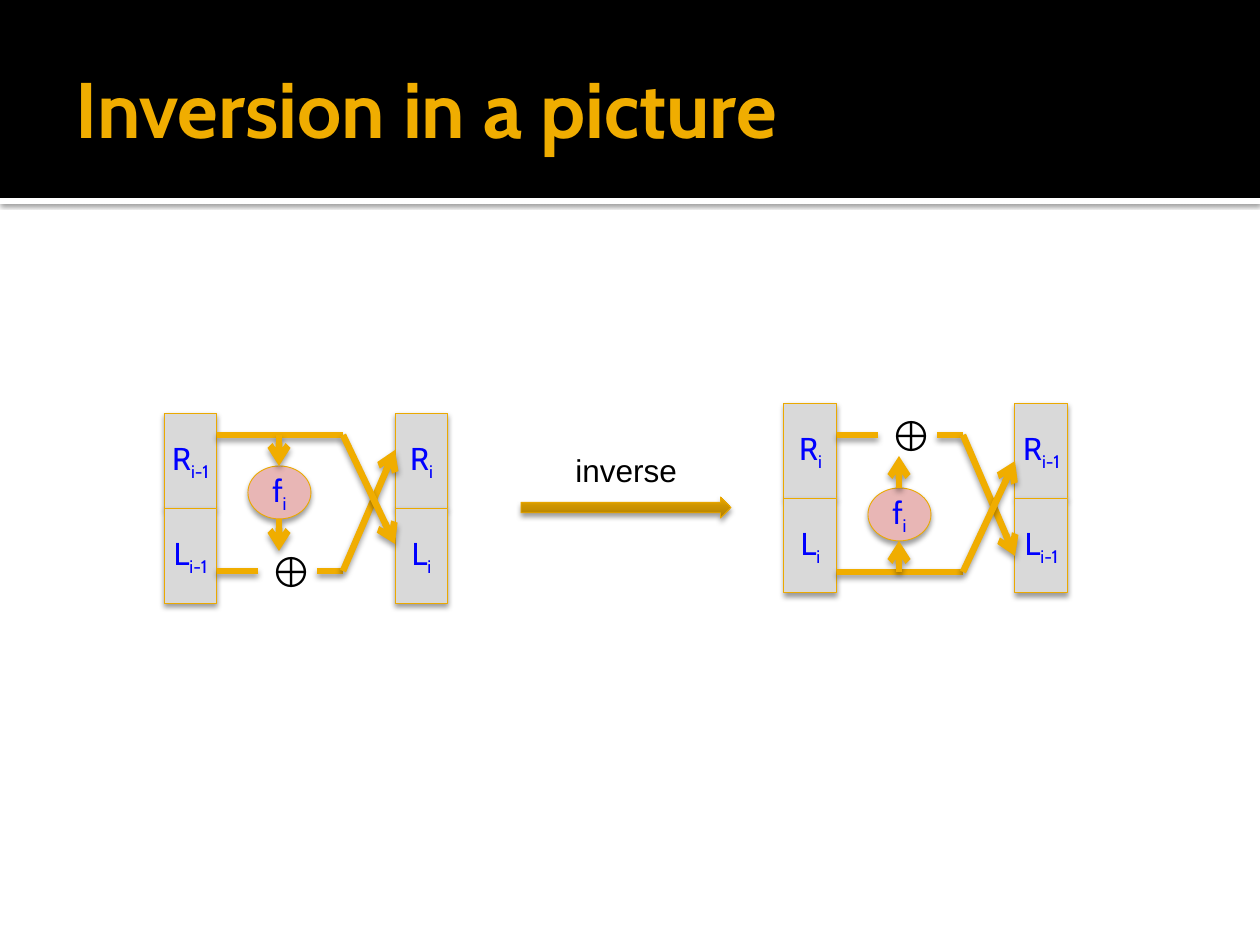
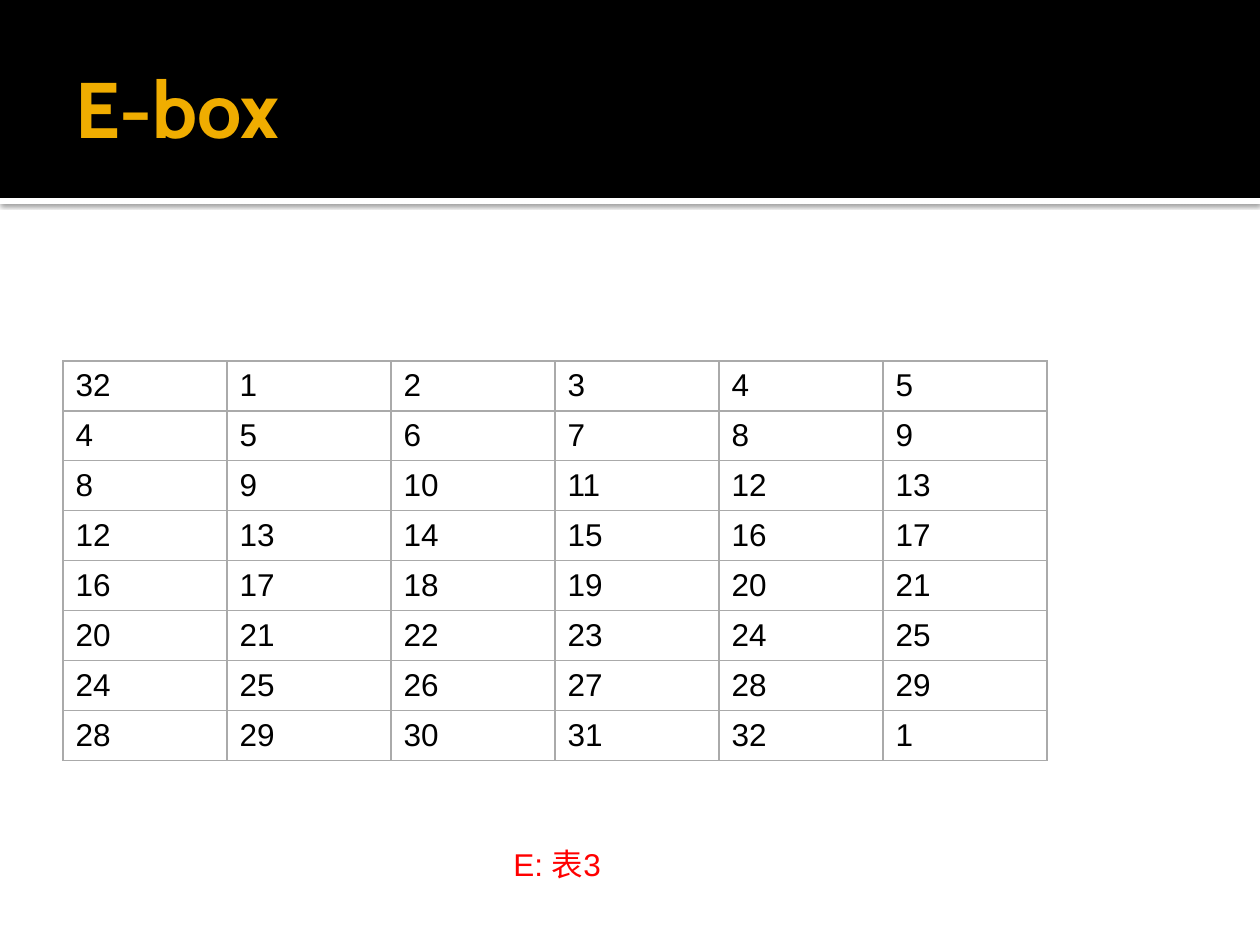
from copy import deepcopy

from lxml.etree import SubElement
from pptx import Presentation
from pptx.dml.color import RGBColor
from pptx.enum.shapes import MSO_CONNECTOR, MSO_SHAPE
from pptx.enum.text import MSO_ANCHOR, MSO_AUTO_SIZE, PP_ALIGN
from pptx.oxml.ns import qn
from pptx.util import Emu, Pt

SCALE = 914400 / 126
WIDE, HIGH = 1260, 945

BLACK = RGBColor(0x00, 0x00, 0x00)
WHITE = RGBColor(0xFF, 0xFF, 0xFF)
GOLD = RGBColor(0xF0, 0xAD, 0x00)
EDGE = RGBColor(0xEB, 0xA9, 0x00)
GRAY = RGBColor(0xD9, 0xD9, 0xD9)
PINK = RGBColor(0xE8, 0xB6, 0xB5)
BLUE = RGBColor(0x00, 0x00, 0xFF)
RED = RGBColor(0xFF, 0x00, 0x00)
RULE = RGBColor(0xAA, 0xAA, 0xAA)
SHADES = (
    (0, RGBColor(0xAE, 0x7D, 0x00)),
    (0.55, RGBColor(0xCC, 0x93, 0x00)),
    (1, RGBColor(0xEE, 0xAB, 0x00)),
)
HEAD, BODY = "Cabin", "Arial"


def px(*sizes):
    """Turn pixel lengths into a list of EMU."""
    return [Emu(round(size * SCALE)) for size in sizes]


def set_font(para, name, size, color, bold=False):
    """Format a whole paragraph."""
    font = para.font
    font.name, font.size, font.bold = name, Pt(size), bold
    font.color.rgb = color


def add_shade(item, alpha=38, blur=3.1, dist=2):
    """Give an item a soft shadow that falls straight down."""
    effects = SubElement(item._element.spPr, qn("a:effectLst"))
    outer = SubElement(
        effects, qn("a:outerShdw"), blurRad=str(Pt(blur)),
        dist=str(Pt(dist)), dir="5400000", algn="ctr", rotWithShape="0")
    color = SubElement(outer, qn("a:srgbClr"), val=str(BLACK))
    SubElement(color, qn("a:alpha"), val=str(alpha * 1000))


def add_form(slide, kind, spot, fill, edge=None):
    """Add a preset shape with a plain fill and an optional edge."""
    form = slide.shapes.add_shape(kind, *px(*spot))
    form.fill.solid()
    form.fill.fore_color.rgb = fill
    if edge is None:
        form.line.fill.background()
    else:
        form.line.color.rgb = edge
        form.line.width = Pt(0.5)
    return form


def add_node(slide, kind, spot, fill, base, index):
    """Add a shape that holds a letter and its subscript."""
    node = add_form(slide, kind, spot, fill, EDGE)
    add_shade(node)
    frame = node.text_frame
    frame.margin_left = frame.margin_right = 0
    frame.vertical_anchor = MSO_ANCHOR.MIDDLE
    para = frame.paragraphs[0]
    para.alignment = PP_ALIGN.CENTER
    set_font(para, HEAD, 18, BLUE)
    para.add_run().text = base
    sub = para.add_run()
    sub.text = index
    sub.font._element.set("baseline", "-25000")


def add_wire(slide, start, end, arrow=False):
    """Add a thick gold line, with an arrowhead if asked."""
    wire = slide.shapes.add_connector(
        MSO_CONNECTOR.STRAIGHT, *px(*start, *end))
    wire.line.color.rgb = GOLD
    wire.line.width = Pt(3.78)
    if arrow:
        line = wire._element.spPr.find(qn("a:ln"))
        SubElement(line, qn("a:tailEnd"), type="arrow")
    add_shade(wire, blur=3.5)


def add_label(slide, spot, text, size=18, color=BLACK, wrap=False):
    """Add a text box that grows with its text."""
    frame = slide.shapes.add_textbox(*px(*spot)).text_frame
    frame.word_wrap = wrap
    frame.auto_size = MSO_AUTO_SIZE.SHAPE_TO_FIT_TEXT
    para = frame.paragraphs[0]
    para.text = text
    set_font(para, BODY, size, color)


def add_bands(slide):
    """Build the title bands and move them to the shared layout."""
    black = add_form(slide, MSO_SHAPE.RECTANGLE, (0, 0, WIDE, 198), BLACK)
    black.shadow.inherit = False
    white = add_form(slide, MSO_SHAPE.RECTANGLE, (0, 198, WIDE, 6), WHITE)
    add_shade(white, 60, 2.5, 0.8)
    for index, band in enumerate((black, white)):
        band._element.nvSpPr.cNvPr.id = 20 + index
        slide.slide_layout.shapes._spTree.insert(2, band._element)


def add_page(deck, text):
    """Add a slide and format its title."""
    slide = deck.slides.add_slide(deck.slide_layouts[5])
    title = slide.shapes.title
    title.left, title.top, title.width, title.height = px(63, 21, 1134, 173)
    frame = title.text_frame
    frame.text = text
    frame.vertical_anchor = MSO_ANCHOR.MIDDLE
    frame.auto_size = MSO_AUTO_SIZE.NONE
    frame.margin_right = px(6)[0]
    para = frame.paragraphs[0]
    para.alignment = PP_ALIGN.LEFT
    set_font(para, HEAD, 45, GOLD, True)
    return slide


def add_round(slide, left, top, marks, full, cut, ends, oval, xor):
    """Draw one round; full and cut are the heights of its two wires."""
    for x, mark in zip((left, left + 231), marks):
        for y, base in ((top, "R"), (top + 95, "L")):
            add_node(slide, MSO_SHAPE.RECTANGLE, (x, y, 53, 95),
                     GRAY, base, mark)
    add_label(slide, (left + 94, xor, 59, 63), "⊕", 24)

    port, bend, goal = left + 53, left + 179, left + 231
    add_wire(slide, (port, full), (bend, full))
    add_wire(slide, (port, cut), (left + 94, cut))
    add_wire(slide, (left + 153, cut), (bend, cut))
    for y, end in zip((cut, full), ends):
        add_wire(slide, (bend, y), (goal, end), True)

    add_node(slide, MSO_SHAPE.OVAL, (left + 84, oval, 63, 53), PINK, "f", "i")
    mid = left + 115
    near, far, step = oval, oval + 53, 32
    if full > cut:
        near, far, step = far, near, -step
    add_wire(slide, (mid, full), (mid, near), True)
    add_wire(slide, (mid, far), (mid, far + step), True)


def add_arrow(slide, spot):
    """Add the shaded block arrow."""
    arrow = add_form(slide, MSO_SHAPE.RIGHT_ARROW, spot, GOLD, EDGE)
    arrow.fill.gradient()
    arrow.fill.gradient_angle = 90
    stops = arrow._element.spPr.find(".//" + qn("a:gsLst"))
    stops.insert(1, deepcopy(stops[0]))
    for stop, (place, color) in zip(arrow.fill.gradient_stops, SHADES):
        stop.position = place
        stop.color.rgb = color
    add_shade(arrow)


def add_rules(cell):
    """Draw thin gray borders on all sides of a cell."""
    props = cell._tc.get_or_add_tcPr()
    for side in ("lnL", "lnR", "lnT", "lnB"):
        line = SubElement(props, qn("a:" + side), w=str(Pt(0.75)))
        fill = SubElement(line, qn("a:solidFill"))
        SubElement(fill, qn("a:srgbClr"), val=str(RULE))


def add_grid(slide, left, top, rows, cols):
    """Add the table whose rows of bits overlap by two."""
    spot = px(left, top, cols * 164, rows * 50)
    table = slide.shapes.add_table(rows, cols, *spot).table
    table.first_row = table.horz_banding = False
    for row in range(rows):
        for col in range(cols):
            cell = table.cell(row, col)
            add_rules(cell)
            cell.fill.background()
            cell.vertical_anchor = MSO_ANCHOR.MIDDLE
            cell.text = str((4 * row + col - 1) % 32 + 1)
            set_font(cell.text_frame.paragraphs[0], BODY, 18, BLACK)


def main():
    """Build both slides and save them."""
    deck = Presentation()
    deck.slide_width, deck.slide_height = px(WIDE, HIGH)

    slide = add_page(deck, "Inversion in a picture")
    add_bands(slide)
    add_round(slide, 164, 413, ("i-1", "i"), full=435, cut=571,
              ends=(450, 544), oval=466, xor=539)
    add_arrow(slide, (521, 497, 210, 21))
    add_label(slide, (563, 445, 129, 50), "inverse")
    add_round(slide, 784, 403, ("i", "i-1"), full=572, cut=435,
              ends=(556, 461), oval=488, xor=403)

    slide = add_page(deck, "E-box")
    add_grid(slide, 63, 361, 8, 6)
    add_label(slide, (501, 839, 129, 50), "E: 表3", color=RED, wrap=True)

    deck.save("out.pptx")


if __name__ == "__main__":
    main()
